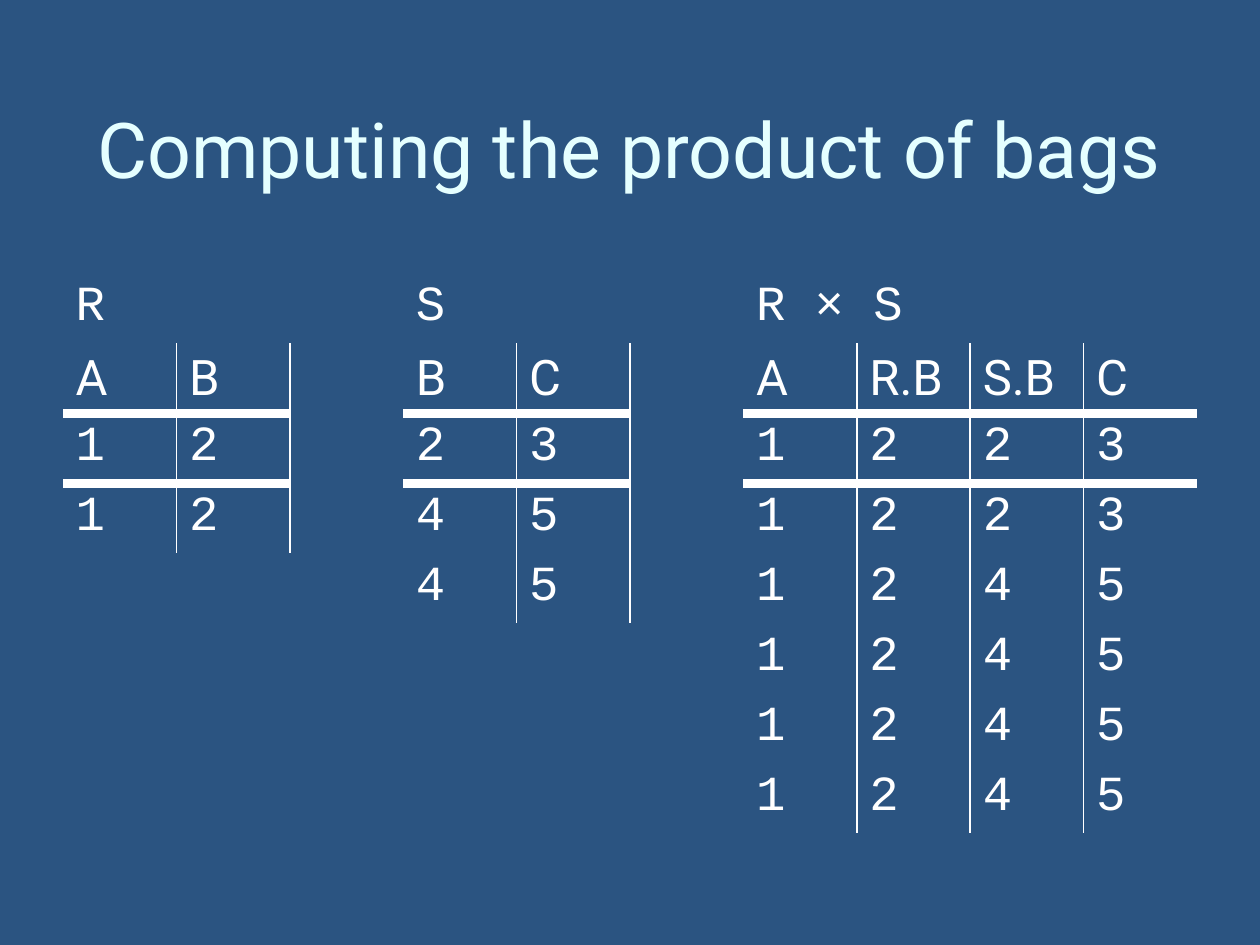
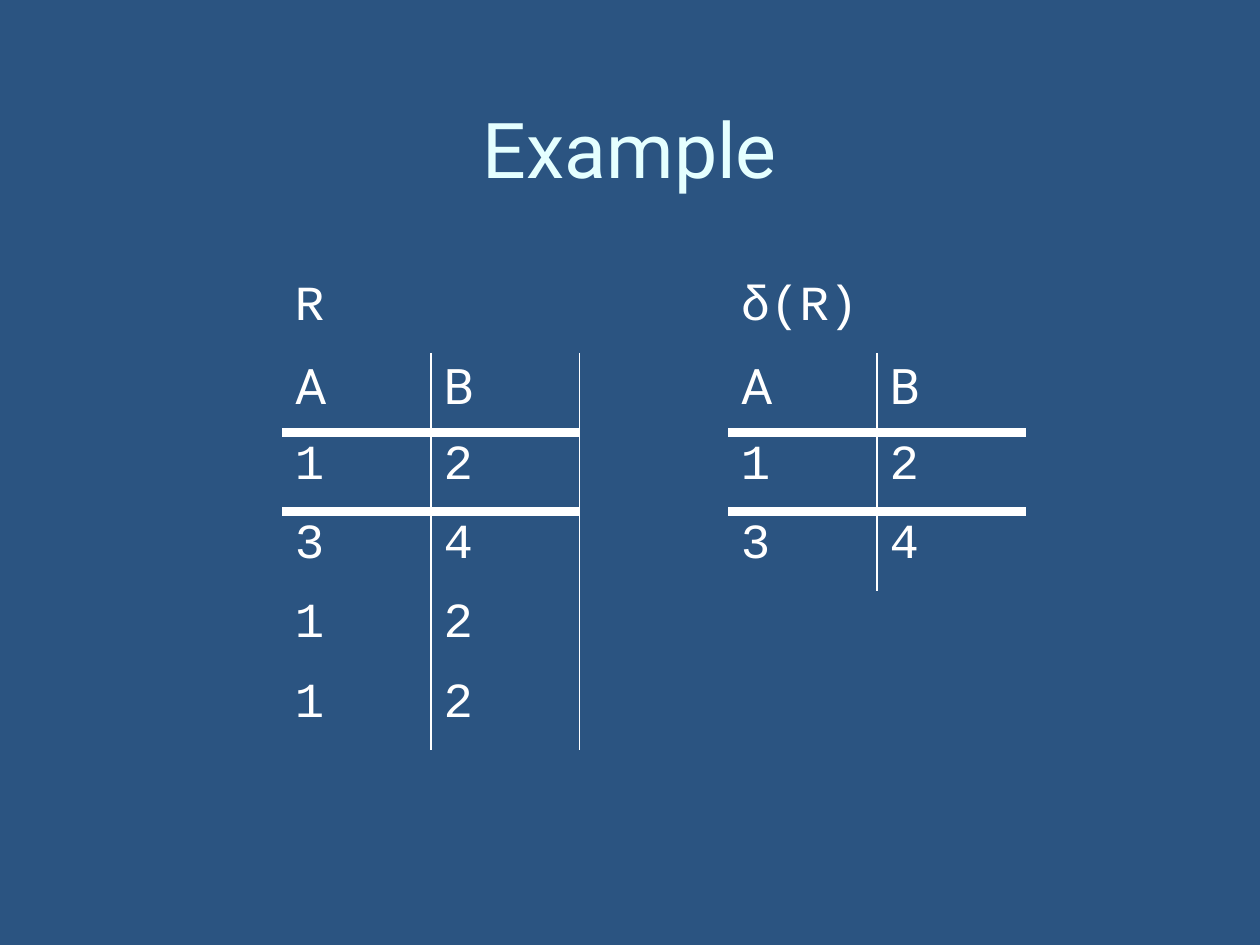
"""Build two slides on bag operations, with relations laid out in tables."""
from lxml import etree
from pptx import Presentation
from pptx.dml.color import RGBColor
from pptx.enum import text
from pptx.oxml import ns
from pptx.util import Inches, Pt

HUES = {"back": "2B5481", "title": "E5FFFF", "ink": "FFFFFF"}
SANS, MONO = "Roboto", "Courier New"
PLAIN = "{2D5ABB26-0587-4C30-8999-92F81FD0307C}"
THIN, THICK = 1, 6


def style(para, face, size, hue):
    para.font.name = face
    para.font.size = Pt(size)
    para.font.color.rgb = RGBColor.from_string(HUES[hue])


def add_slide(deck, title):
    slide = deck.slides.add_slide(deck.slide_layouts[5])
    box = slide.shapes.title
    box.left, box.top = Inches(0.5), Inches(0.42)
    box.width, box.height = Inches(9), Inches(1.5)
    box.text_frame.text = title
    box.text_frame.vertical_anchor = text.MSO_ANCHOR.MIDDLE
    para = box.text_frame.paragraphs[0]
    para.alignment = text.PP_ALIGN.CENTER
    style(para, SANS, 44, "title")
    return slide


def add_grid(slide, left, rows, cols, wide, high):
    frame = slide.shapes.add_table(rows, cols, Inches(left), Inches(2.17),
                                   Inches(cols * wide), Inches(rows * high))
    grid = frame.table
    grid.first_row = grid.horz_banding = False
    grid._tbl.tblPr.find(ns.qn("a:tableStyleId")).text = PLAIN
    for row in grid.rows:
        row.height = Inches(high)
    for col in grid.columns:
        col.width = Inches(wide)
    for cell in grid.iter_cells():
        cell.fill.background()
    return grid


def write(cell, words, face):
    cell.text = words
    style(cell.text_frame.paragraphs[0], face, 28, "ink")


def rule(cell, sides):
    props = cell._tc.get_or_add_tcPr()
    lines = [(side, width) for side, width in sides.items() if width]
    for spot, (side, width) in enumerate(lines):
        line = etree.Element(ns.qn("a:ln" + side), w=str(Pt(width)))
        fill = etree.SubElement(line, ns.qn("a:solidFill"))
        etree.SubElement(fill, ns.qn("a:srgbClr"), val=HUES["ink"])
        props.insert(spot, line)


def add_bag(grid, start, name, heads, rows, span=1):
    label = grid.cell(0, start)
    if span > 1:
        label.merge(grid.cell(0, start + span - 1))
    write(label, name, MONO)
    for r, row in enumerate([heads] + rows, 1):
        for c, word in enumerate(row):
            cell = grid.cell(r, start + c)
            write(cell, str(word), SANS if r == 1 else MONO)
            rule(cell, {"L": THIN if c else 0,
                        "R": THIN if c < len(row) - 1 else 0,
                        "T": THICK if r == 2 else 0,
                        "B": THICK if r == 1 else 0})


def main():
    deck = Presentation()
    deck.slide_width, deck.slide_height = Inches(10), Inches(7.5)
    back = deck.slide_master.background.fill
    back.solid()
    back.fore_color.rgb = RGBColor.from_string(HUES["back"])

    left = [(1, 2), (1, 2)]
    right = [(2, 3), (4, 5), (4, 5)]
    cross = [a + b for b in right for a in left]
    slide = add_slide(deck, "Computing the product of bags")
    grid = add_grid(slide, 0.5, 8, 10, 0.9, 5 / 9)
    add_bag(grid, 0, "R", ("A", "B"), left)
    add_bag(grid, 3, "S", ("B", "C"), right)
    add_bag(grid, 6, "R × S", ("A", "R.B", "S.B", "C"), cross, span=2)

    bag = [(1, 2), (3, 4), (1, 2), (1, 2)]
    slide = add_slide(deck, "Example")
    grid = add_grid(slide, 2.24, 6, 5, 1.18, 0.63)
    add_bag(grid, 0, "R", ("A", "B"), bag)
    add_bag(grid, 3, "δ(R)", ("A", "B"), list(dict.fromkeys(bag)))
    deck.save("out.pptx")


if __name__ == "__main__":
    main()
